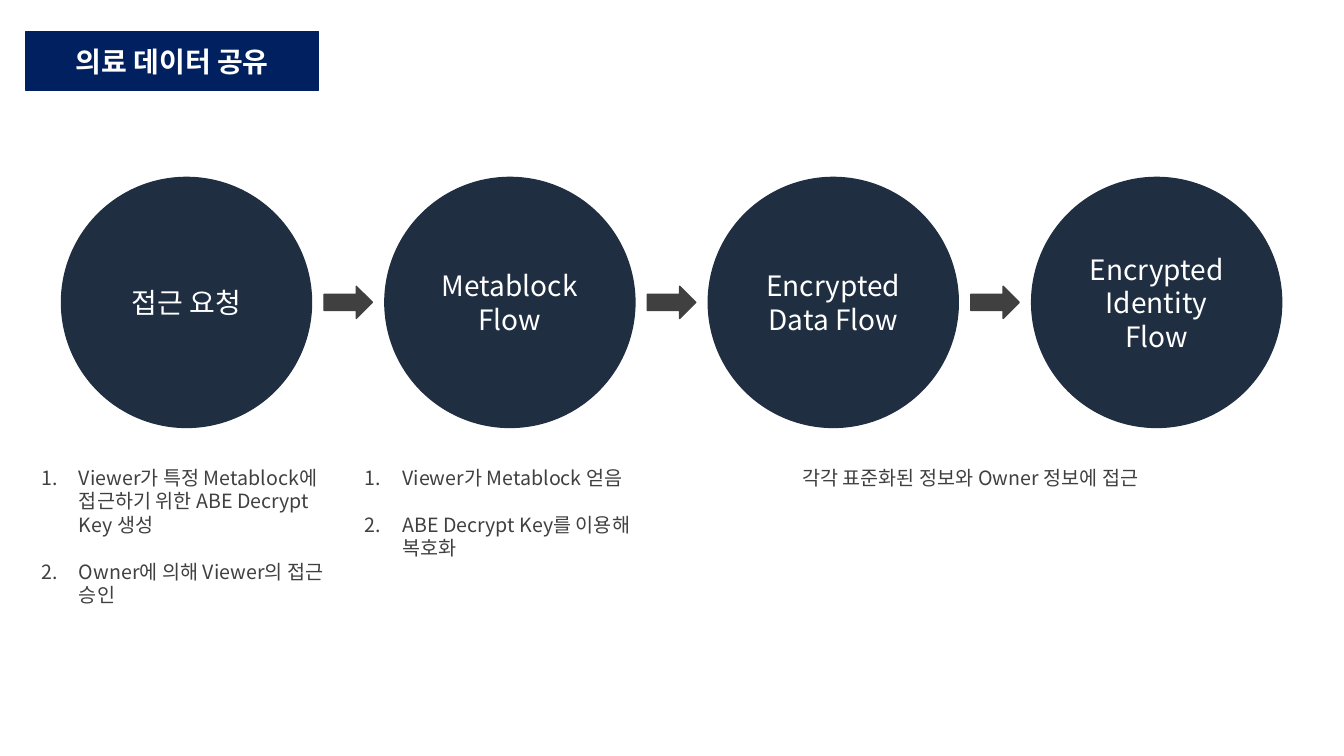
from pptx import Presentation
from pptx.dml.color import RGBColor
from pptx.enum.shapes import MSO_SHAPE
from pptx.enum.text import MSO_ANCHOR, PP_ALIGN
from pptx.oxml.ns import qn
from pptx.util import Pt
from lxml.etree import SubElement

TITLE = "의료 데이터 공유"
STEPS = ["접근 요청", "Metablock\nFlow", "Encrypted Data Flow", "Encrypted Identity Flow"]
LISTS = [
    ["Viewer가 특정 Metablock에 접근하기 위한 ABE Decrypt Key 생성",
     "Owner에 의해 Viewer의 접근 승인"],
    ["Viewer가 Metablock 얻음", "ABE Decrypt Key를 이용해 복호화"],
]
NOTE = "각각 표준화된 정보와 Owner 정보에 접근"

FONT = "Noto Sans CJK KR"
BLUE = RGBColor(0x00, 0x20, 0x60)
NAVY = RGBColor(0x1F, 0x2E, 0x41)
GRAY = RGBColor(0x40, 0x40, 0x40)
WHITE = RGBColor(0xFF, 0xFF, 0xFF)

LEFT, TOP, SIZE, PITCH = 43.9, 126.7, 178.6, 231
HEAD_W, HEAD_H = 34.6, 23
LIST_X, LIST_Y, LIST_W = 22.3, 329, 221.8
NOTE_X, NOTE_W = 566, 290
INDENT = 27


def paint(shape, color):
    shape.fill.solid()
    shape.fill.fore_color.rgb = color
    shape.line.color.rgb = color
    shape.line.width = Pt(1)


def style(frame, size, color, align, bold=False):
    frame.word_wrap = True
    for par in frame.paragraphs:
        par.alignment = align
        par.line_spacing = Pt(size * 1.2)
        for run in par.runs:
            font = run.font
            font.name, font.size, font.bold = FONT, Pt(size), bold
            font.color.rgb = color
            SubElement(font._element, qn("a:ea"), typeface=FONT)


def add_mark(slide, kind, color, x, y, w, h):
    mark = slide.shapes.add_shape(kind, Pt(x), Pt(y), Pt(w), Pt(h))
    mark.shadow.inherit = False
    paint(mark, color)
    return mark


def add_text(slide, lines, x, w, h):
    box = slide.shapes.add_textbox(Pt(x), Pt(LIST_Y), Pt(w), Pt(h))
    frame = box.text_frame
    frame.text = "\n".join(lines)
    style(frame, 14, GRAY, PP_ALIGN.LEFT)
    return frame


def number(frame):
    for i, par in enumerate(frame.paragraphs):
        par.space_before = Pt(16.8 if i else 0)
        props = par._p.get_or_add_pPr()
        props.set("marL", str(Pt(INDENT)))
        props.set("indent", str(-Pt(INDENT)))
        SubElement(props, qn("a:buFont"), typeface=FONT)
        SubElement(props, qn("a:buAutoNum"), type="arabicPeriod")


def main():
    deck = Presentation()
    deck.slide_width, deck.slide_height = Pt(960), Pt(540)
    slide = deck.slides.add_slide(deck.slide_layouts[5])

    title = slide.shapes.title
    title.left, title.top, title.width, title.height = Pt(18.5), Pt(22.5), Pt(209), Pt(42)
    paint(title, BLUE)
    title.text_frame.text = TITLE
    title.text_frame.vertical_anchor = MSO_ANCHOR.MIDDLE
    style(title.text_frame, 20, WHITE, PP_ALIGN.CENTER, True)

    for i, step in enumerate(STEPS):
        x = LEFT + i * PITCH
        disc = add_mark(slide, MSO_SHAPE.OVAL, NAVY, x, TOP, SIZE, SIZE)
        disc.text_frame.text = step
        disc.text_frame.vertical_anchor = MSO_ANCHOR.MIDDLE
        style(disc.text_frame, 20, WHITE, PP_ALIGN.CENTER)
        if i < len(STEPS) - 1:
            mid = x + (SIZE + PITCH) / 2
            add_mark(slide, MSO_SHAPE.RIGHT_ARROW, GRAY, mid - HEAD_W / 2,
                     TOP + (SIZE - HEAD_H) / 2, HEAD_W, HEAD_H)

    for i, (lines, high) in enumerate(zip(LISTS, (108.7, 75))):
        number(add_text(slide, lines, LIST_X + i * PITCH, LIST_W, high))
    add_text(slide, [NOTE], NOTE_X, NOTE_W, 24.5)

    deck.save("out.pptx")


if __name__ == "__main__":
    main()
